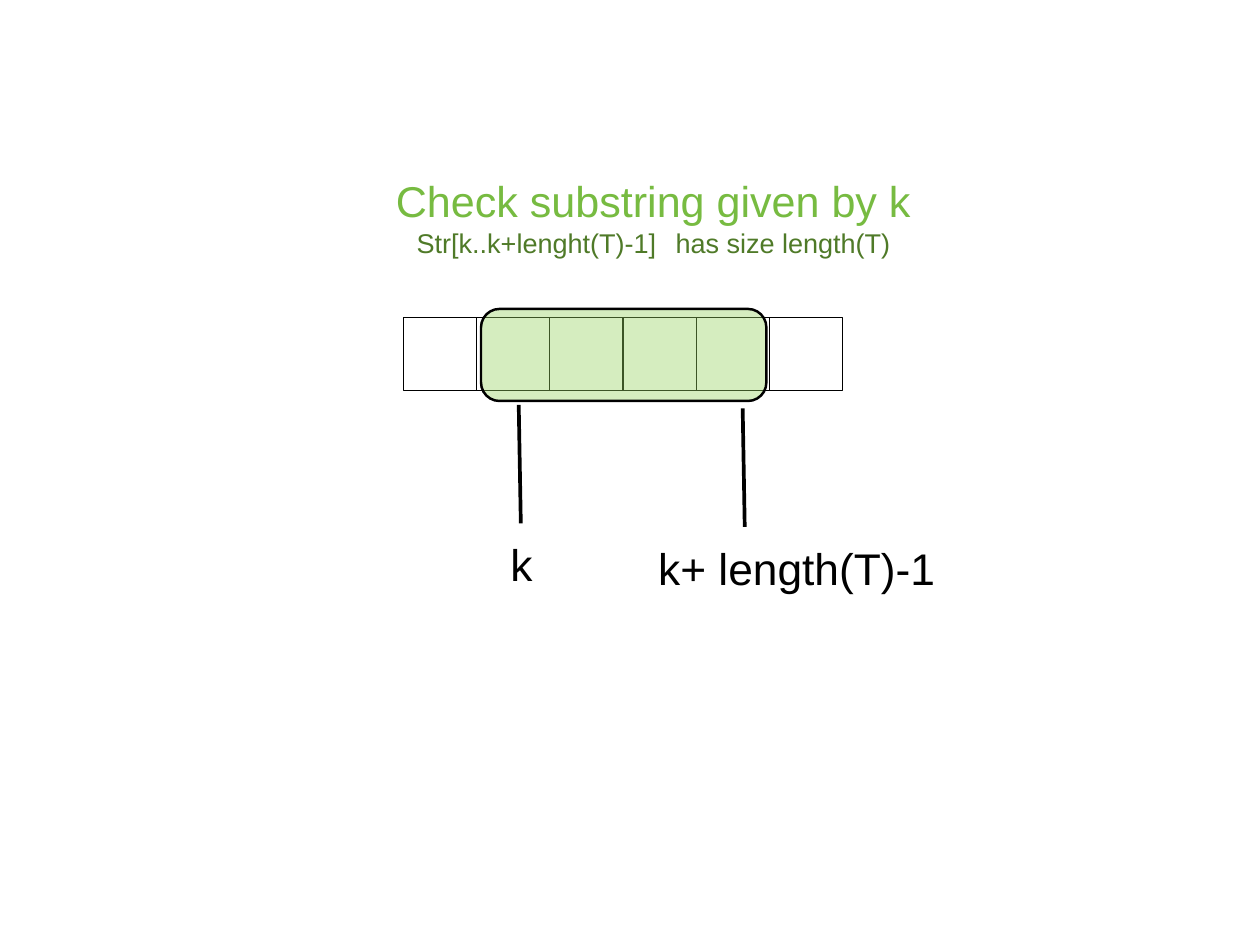
from lxml import etree
from pptx import Presentation
from pptx import util as u
from pptx.dml import color
from pptx.enum import shapes, text
from pptx.oxml import ns

BLACK = "000000"
CELL = 2.1
ROW_LEFT, ROW_TOP = 11.56, 9.1


def rgb(value):
    """Turn a hex string into a colour."""
    return color.RGBColor.from_string(value)


def add_label(slide, left, top, width, height, lines, align=text.PP_ALIGN.LEFT):
    """Add a text box; each line is (wording, size, colour, line spacing, tab)."""
    frame = slide.shapes.add_textbox(u.Cm(left), u.Cm(top), u.Cm(width), u.Cm(height)).text_frame
    frame.word_wrap = True
    frame.margin_left = frame.margin_right = frame.margin_bottom = 0
    frame.margin_top = u.Cm(0.03)
    for index, (wording, size, hue, spacing, tab) in enumerate(lines):
        line = frame.add_paragraph() if index else frame.paragraphs[0]
        line.text = wording
        line.alignment = align
        if spacing:
            line.line_spacing = u.Pt(spacing)
        if tab:
            stops = etree.SubElement(line._p.get_or_add_pPr(), ns.qn("a:tabLst"))
            etree.SubElement(stops, ns.qn("a:tab"), pos=str(u.Cm(tab)), algn="l")
        line.font.name = "Arial"
        line.font.size = u.Pt(size)
        line.font.color.rgb = rgb(hue)


def add_box(slide, kind, left, top, width, height, weight):
    """Add an unfilled, black-outlined preset shape."""
    box = slide.shapes.add_shape(kind, u.Cm(left), u.Cm(top), u.Cm(width), u.Cm(height))
    box.shadow.inherit = False
    box.fill.background()
    box.line.color.rgb = rgb(BLACK)
    box.line.width = u.Pt(weight)
    return box


def add_window(slide, left, top, width, height):
    """Add the translucent rounded window over the substring."""
    window = add_box(slide, shapes.MSO_SHAPE.ROUNDED_RECTANGLE, left, top, width, height, 2)
    window.adjustments[0] = 0.2
    window.fill.solid()
    window.fill.fore_color.rgb = rgb("96D35F")
    tint = window._element.spPr.find(ns.qn("a:solidFill"))[0]
    etree.SubElement(tint, ns.qn("a:alpha"), val="40000")


def add_pointer(slide, left, top):
    """Add a slightly slanted line from the window down to an index label."""
    pointer = slide.shapes.add_connector(
        shapes.MSO_CONNECTOR.STRAIGHT,
        u.Cm(left), u.Cm(top), u.Cm(left + 0.06), u.Cm(top + 3.4))
    pointer.line.color.rgb = rgb(BLACK)
    pointer.line.width = u.Pt(3)
    etree.SubElement(pointer._element.spPr, ns.qn("a:effectLst"))


def main():
    """Build the substring slide."""
    deck = Presentation()
    deck.slide_width, deck.slide_height = u.Cm(36.12), u.Cm(27.1)
    slide = deck.slides.add_slide(deck.slide_layouts[6])

    add_label(slide, 10.67, 4.98, 16.13, 2.49, [
        ("Check substring given by k", 35, "77BB41", 42, None),
        ("Str[k..k+lenght(T)-1]\thas size length(T)", 22, "4F7A28", None, 7.42),
    ], text.PP_ALIGN.CENTER)

    for position in range(6):
        add_box(slide, shapes.MSO_SHAPE.RECTANGLE,
                ROW_LEFT + position * CELL, ROW_TOP, CELL, CELL, 1.12)

    for index, line_left, line_top, label_left, label_top, width in (
            ("k", 14.87, 11.61, 14.63, 15.37, 0.71),
            ("k+ length(T)-1", 21.29, 11.71, 18.87, 15.49, 8)):
        add_pointer(slide, line_left, line_top)
        add_label(slide, label_left, label_top, width, 1.6, [(index, 36, BLACK, None, None)])

    add_window(slide, 13.79, 8.86, 8.18, 2.64)
    deck.save("out.pptx")


if __name__ == "__main__":
    main()
